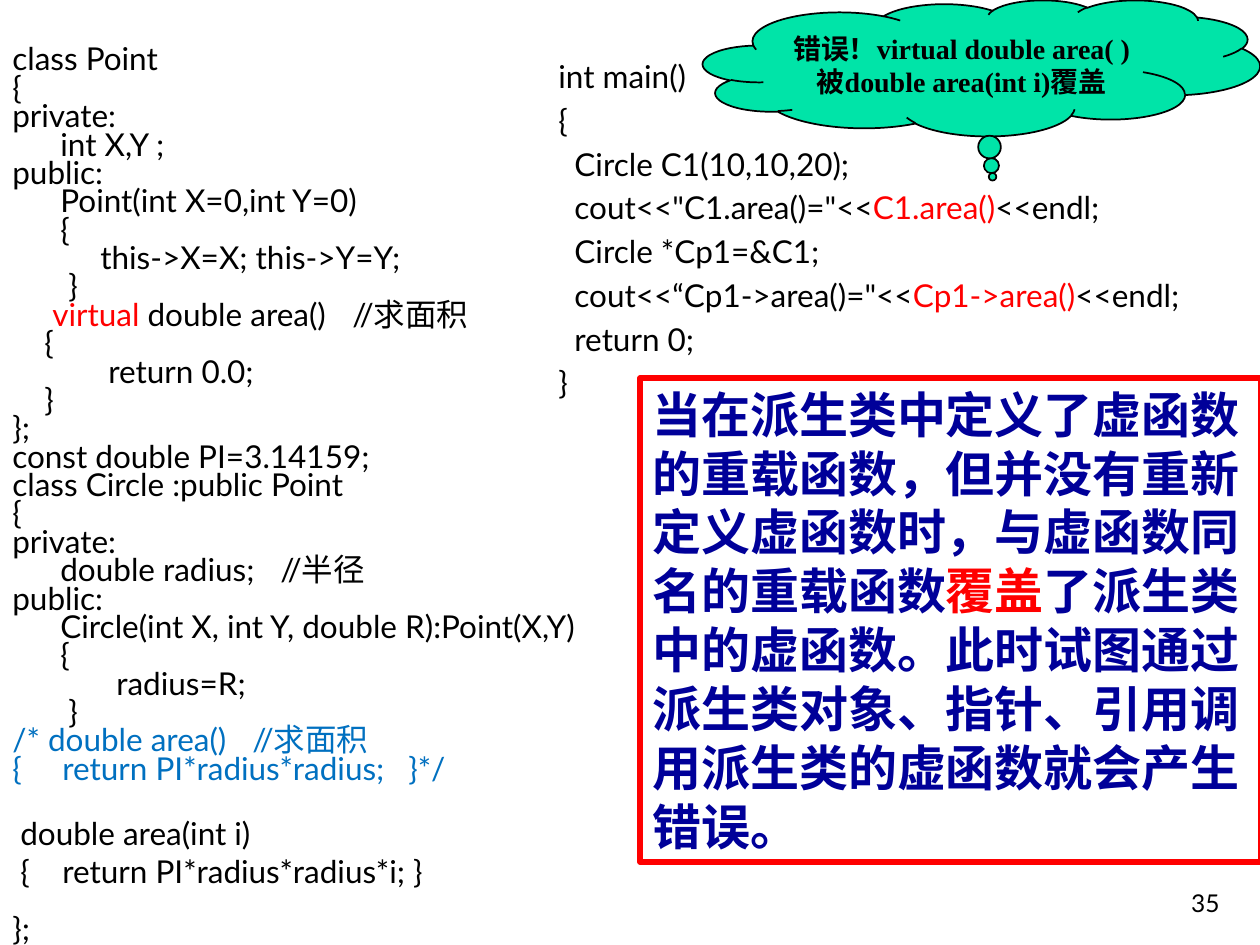
from lxml.etree import SubElement
from pptx import Presentation
from pptx.dml.color import RGBColor
from pptx.enum.shapes import MSO_SHAPE
from pptx.enum.text import MSO_ANCHOR, PP_ALIGN
from pptx.oxml.ns import qn
from pptx.util import Emu, Pt

BLACK = RGBColor(0, 0, 0)
RED = RGBColor(255, 0, 0)
BLUE = RGBColor(0, 112, 192)
NAVY = RGBColor(0, 0, 153)
GREEN = RGBColor(0, 228, 168)
CODE_FONT = "Lato"
NOTE_FONT = "Times New Roman"
TIGHT = 0.75

CLASS_CODE = [
    ((), "class Point"),
    ((), "{"),
    ((), "private:"),
    ((48,), "\tint X,Y ;"),
    ((), "public:"),
    ((48,), "\tPoint(int X=0,int Y=0)"),
    ((48,), "\t{"),
    ((88,), "\tthis->X=X; this->Y=Y;"),
    ((56,), "\t}"),
    ((40, 340), "\t", ("virtual", RED), " double area()\t//求面积"),
    ((32,), "\t{"),
    ((96,), "\treturn 0.0;"),
    ((32,), "\t}"),
    ((), "};"),
    ((), "const double PI=3.14159;"),
    ((), "class Circle :public Point"),
    ((), "{"),
    ((), "private:"),
    ((48, 268), "\tdouble radius;\t//半径"),
    ((), "public:"),
    ((48,), "\tCircle(int X, int Y, double R):Point(X,Y)"),
    ((48,), "\t{"),
    ((104,), "\tradius=R;"),
    ((56,), "\t}"),
    ((240,), ("/* double area()\t//求面积", BLUE)),
    ((50, 396), ("{\treturn PI*radius*radius;\t}*/", BLUE)),
]
OVERLOAD_CODE = [
    ((8,), "\tdouble area(int i)"),
    ((8, 50), "\t{\treturn PI*radius*radius*i; }"),
]
CLASS_END = [((), "};")]
MAIN_CODE = [
    ((), "int main()"),
    ((), "{"),
    ((16,), "\tCircle C1(10,10,20);"),
    ((16,), '\tcout<<"C1.area()="<<', ("C1.area()", RED), "<<endl;"),
    ((16,), "\tCircle *Cp1=&C1;"),
    ((16,), '\tcout<<“Cp1->area()="<<', ("Cp1->area()", RED), "<<endl;"),
    ((16,), "\treturn 0;"),
    ((), "}"),
]
WARNING = ["错误！virtual double area( ) 被double area(int i)覆盖"]
EXPLANATION = [
    "当在派生类中定义了虚函数的重载函数，但并没有重新定义虚函数时，与虚函数同名的重载函数",
    ("覆盖", RED),
    "了派生类中的虚函数。此时试图通过派生类对象、指针、引用调用派生类的虚函数就会产生错误。",
]


def px(n):
    """Turn pixels into EMU."""
    return Emu(round(n * 914400 / 126))


def add_runs(p, runs, font, size, color=BLACK, bold=False):
    """Add plain strings or (text, colour) pairs as runs."""
    for run in runs:
        text, run_color = (run, color) if isinstance(run, str) else run
        r = p.add_run()
        r.text = text
        r.font.name = font
        r.font.size = Pt(size)
        r.font.bold = bold
        r.font.color.rgb = run_color


def set_tabs(p, stops):
    """Give a paragraph left tab stops in px."""
    tabs = SubElement(p._p.get_or_add_pPr(), qn("a:tabLst"))
    for stop in stops:
        SubElement(tabs, qn("a:tab"), pos=str(px(stop)), algn="l")


def add_text_box(s, x, y, w, h):
    """Add a wrapping text box and return its text frame."""
    tf = s.shapes.add_textbox(px(x), px(y), px(w), px(h)).text_frame
    tf.word_wrap = True
    return tf


def add_code(tf, lines, spacing, before=0):
    """Append code lines, with a gap above the first one."""
    for i, (stops, *runs) in enumerate(lines):
        p = tf.paragraphs[0]
        if p.runs:
            p = tf.add_paragraph()
        p.line_spacing = spacing
        p.space_before = Pt(0 if i else before)
        if stops:
            set_tabs(p, stops)
        add_runs(p, runs, CODE_FONT, 18)


def add_note(s, kind, box, line, width, fill=None):
    """Add an outlined shape, filled if a colour is given."""
    sp = s.shapes.add_shape(kind, *map(px, box))
    sp.shadow.inherit = False
    sp.line.color.rgb = line
    sp.line.width = Pt(width)
    if fill is None:
        sp.fill.background()
    else:
        sp.fill.solid()
        sp.fill.fore_color.rgb = fill
    sp.text_frame.word_wrap = True
    return sp


def add_page_number(s):
    """Add the page number at bottom right."""
    tf = add_text_box(s, 970, 861, 262, 63)
    tf.vertical_anchor = MSO_ANCHOR.BOTTOM
    p = tf.paragraphs[0]
    p.alignment = PP_ALIGN.RIGHT
    add_runs(p, ["35"], CODE_FONT, 14)


def add_warning(s):
    """Add the cloud with the error message."""
    sp = add_note(s, MSO_SHAPE.CLOUD_CALLOUT, (703, 0, 557, 136), BLACK, 1, GREEN)
    sp.adjustments[0] = 0.02
    sp.adjustments[1] = 0.8
    tf = sp.text_frame
    tf.vertical_anchor = MSO_ANCHOR.MIDDLE
    p = tf.paragraphs[0]
    p.alignment = PP_ALIGN.CENTER
    add_runs(p, WARNING, NOTE_FONT, 16, bold=True)


def add_explanation(s):
    """Add the framed explanation."""
    sp = add_note(s, MSO_SHAPE.RECTANGLE, (640, 378, 621, 484), RED, 3)
    tf = sp.text_frame
    tf.vertical_anchor = MSO_ANCHOR.TOP
    p = tf.paragraphs[0]
    p.alignment = PP_ALIGN.LEFT
    p.space_before = Pt(7)
    add_runs(p, EXPLANATION, NOTE_FONT, 28, NAVY, True)


def main():
    """Build and save the slide."""
    prs = Presentation()
    prs.slide_width, prs.slide_height = px(1260), px(945)
    s = prs.slides.add_slide(prs.slide_layouts[6])
    add_page_number(s)
    add_code(add_text_box(s, 546, 45, 714, 401), MAIN_CODE, Pt(25))
    tf = add_text_box(s, 0, 42, 640, 940)
    add_code(tf, CLASS_CODE, TIGHT)
    add_code(tf, OVERLOAD_CODE, 1.0, 16)
    add_code(tf, CLASS_END, TIGHT, 16)
    add_warning(s)
    add_explanation(s)
    prs.save("out.pptx")


if __name__ == "__main__":
    main()
